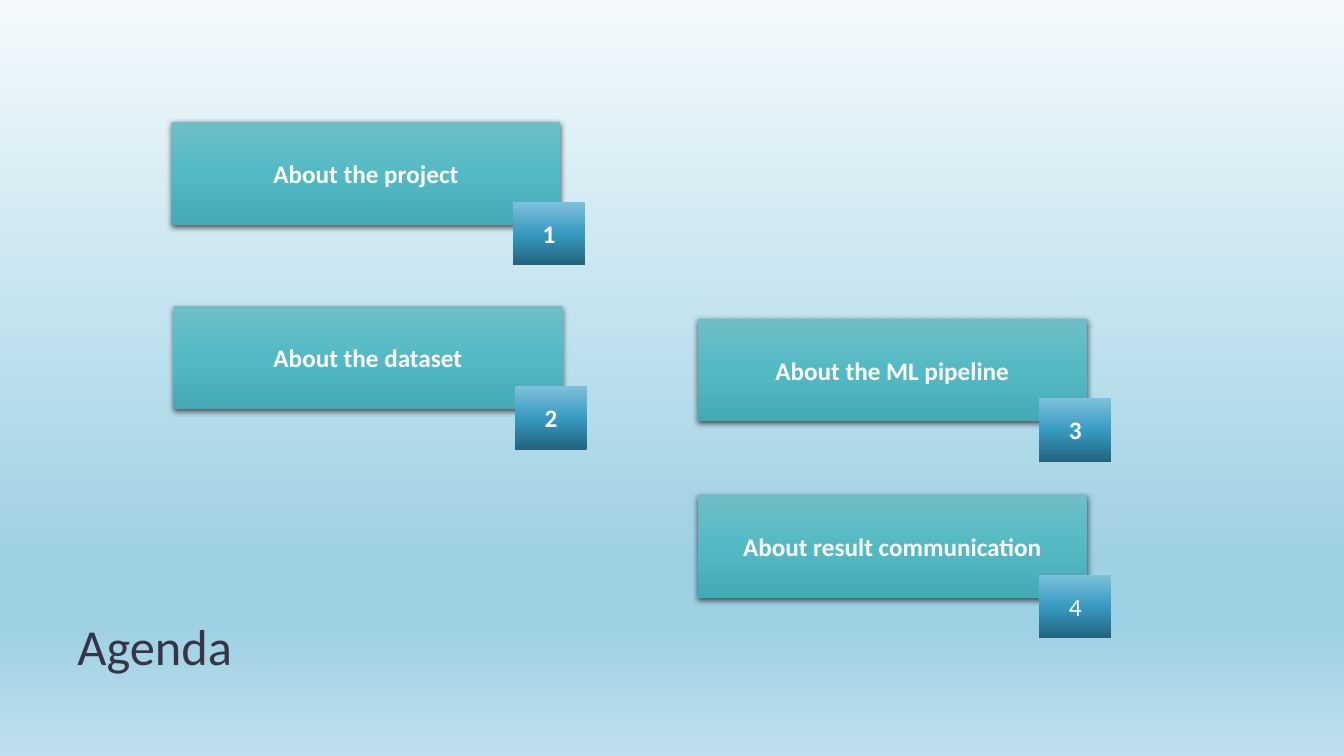
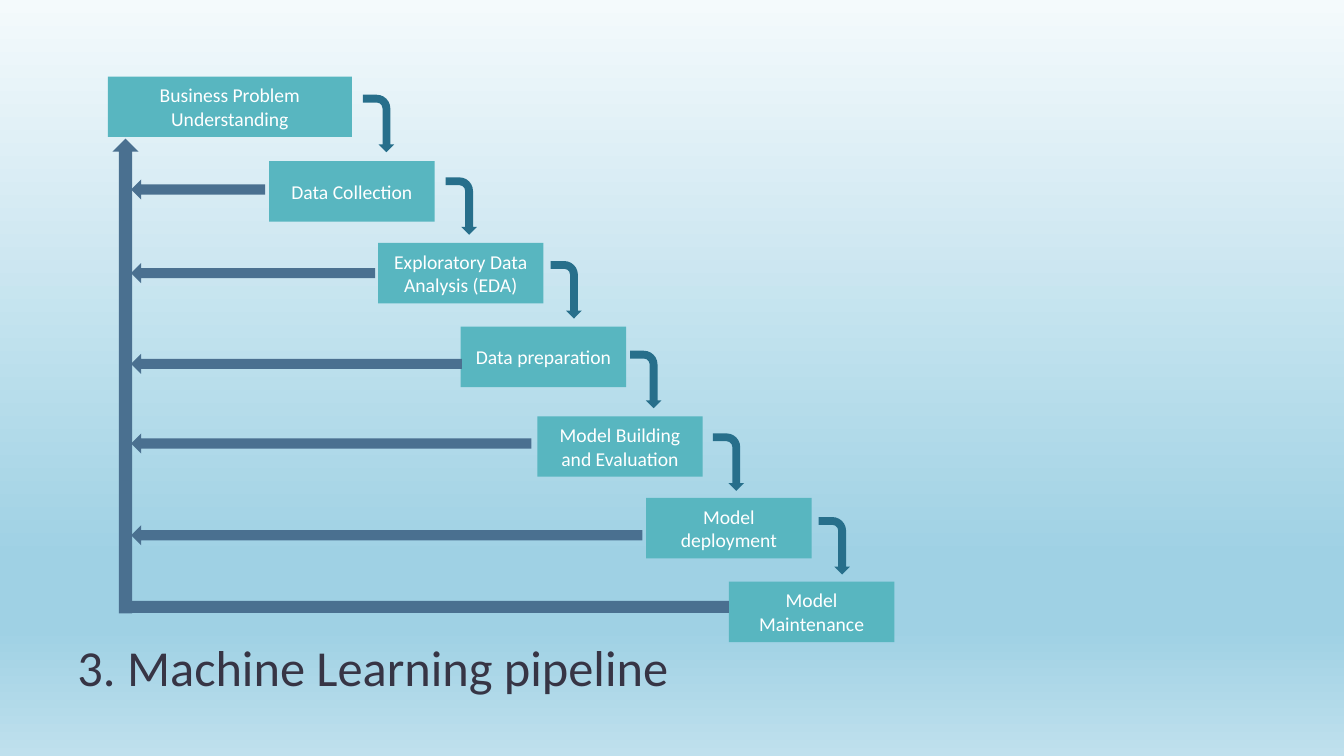
from collections import namedtuple

from lxml.etree import SubElement
from pptx import Presentation
from pptx.dml.color import RGBColor
from pptx.enum.shapes import MSO_SHAPE as Shape
from pptx.enum.text import MSO_ANCHOR as Anchor, PP_ALIGN as Align
from pptx.oxml.ns import qn
from pptx.util import Inches, Pt


class Theme:
    font = "Calibri"
    title_size, card_size, step_size = 36, 18, 14
    title, light = "373545", "FFFFFF"
    step, next_arrow, return_arrow = "58B6C0", "276F8B", "4A7090"
    # Gradients run from top to bottom: (percent, colour).
    backdrop = ((0, "F4FAFC"), (74, "9FD1E4"), (83, "9FD1E4"), (100, "BFE0ED"))
    card = ((0, "6FBEC7"), (50, "53BAC5"), (100, "44AAB5"))
    badge = ((0, "7FC1DB"), (52, "3699C0"), (100, "23637D"))


Part = namedtuple(
    "Part", "kind at fill text size bold rotation shadow",
    defaults=("", Theme.step_size, False, 0, False))


def paint(fill, owner, look):
    """Fill with one colour, or with a vertical gradient if look holds stops."""
    if isinstance(look, str):
        fill.solid()
        fill.fore_color.rgb = RGBColor.from_string(look)
        return
    fill.gradient()
    fill.gradient_angle = 270
    stops = next(owner.element.iter(qn("a:gsLst")))
    for stop in list(stops):
        stops.remove(stop)
    for percent, colour in look:
        stop = SubElement(stops, qn("a:gs"), pos=str(percent * 1000))
        SubElement(stop, qn("a:srgbClr"), val=colour)


def write(frame, text, *, size, colour=Theme.light, bold=False,
          align=Align.CENTER, anchor=Anchor.MIDDLE):
    frame.word_wrap = True
    frame.vertical_anchor = anchor
    for index, line in enumerate(text.splitlines()):
        para = frame.add_paragraph() if index else frame.paragraphs[0]
        para.alignment = align
        span = para.add_run()
        span.text = line
        span.font.name = Theme.font
        span.font.size = Pt(size)
        span.font.bold = bold
        span.font.color.rgb = RGBColor.from_string(colour)


# Agenda: each card carries a numbered badge over its lower right corner.
cards = [
    ("About the project", 1.7, 1.21),
    ("About the dataset", 1.72, 3.04),
    ("About the ML pipeline", 6.92, 3.16),
    ("About result communication", 6.92, 4.91),
]
agenda = []
for number, (label, left, top) in enumerate(cards, 1):
    agenda += [
        Part(Shape.RECTANGLE, (left, top, 3.86, 1.02), Theme.card, label,
             Theme.card_size, bold=True, shadow=True),
        Part(Shape.RECTANGLE, (left + 3.39, top + 0.79, 0.71, 0.63), Theme.badge,
             str(number), Theme.card_size, bold=number < len(cards)),
    ]

# Pipeline: label, left, top and width of each step.
steps = [
    ("Business Problem\nUnderstanding", 1.07, 0.76, 2.42),
    ("Data Collection", 2.67, 1.6, 1.64),
    ("Exploratory Data Analysis (EDA)", 3.75, 2.41, 1.64),
    ("Data preparation", 4.57, 3.24, 1.64),
    ("Model Building and Evaluation", 5.33, 4.13, 1.64),
    ("Model deployment", 6.41, 4.94, 1.64),
    ("Model Maintenance", 7.23, 5.77, 1.64),
]
next_arrows = [(3.47, 1.07), (4.29, 1.89), (5.33, 2.72),
               (6.12, 3.61), (6.94, 4.43), (7.99, 5.26)]
# Top and length of the arrows that lead back to the first step.
return_arrows = [(1.78, 1.33), (2.61, 2.42), (3.51, 3.28), (4.3, 3.97), (5.21, 5.07)]

pipeline = [Part(Shape.RECTANGLE, (left, top, width, 0.6), Theme.step, label)
            for label, left, top, width in steps]
pipeline += [Part(Shape.BENT_ARROW, (left, top, 0.57, 0.31), Theme.next_arrow, rotation=90)
             for left, top in next_arrows]
pipeline += [Part(Shape.RIGHT_ARROW, (1.3, top, length, 0.2), Theme.return_arrow, rotation=180)
             for top, length in return_arrows]
pipeline += [
    Part(Shape.RIGHT_ARROW, (-1.11, 3.6, 4.71, 0.26), Theme.return_arrow, rotation=270),
    Part(Shape.RECTANGLE, (1.21, 5.96, 6.02, 0.12), Theme.return_arrow),
]

deck = Presentation()
deck.slide_width, deck.slide_height = Inches(13.33), Inches(7.5)
paint(deck.slide_master.background.fill, deck.slide_master, Theme.backdrop)

for title, title_top, parts in [
    ("Agenda", 5.58, agenda),
    ("3. Machine Learning pipeline", 5.79, pipeline),
]:
    page = deck.slides.add_slide(deck.slide_layouts[6])
    box = page.shapes.add_textbox(Inches(0.67), Inches(title_top), Inches(12), Inches(1.17))
    write(box.text_frame, title, size=Theme.title_size, colour=Theme.title,
          align=Align.LEFT, anchor=Anchor.BOTTOM)

    for part in parts:
        shape = page.shapes.add_shape(part.kind, *map(Inches, part.at))
        shape.rotation = part.rotation
        shape.line.fill.background()
        paint(shape.fill, shape, part.fill)
        shape.shadow.inherit = False
        if part.shadow:
            effects = next(shape.element.iter(qn("a:effectLst")))
            shadow = SubElement(effects, qn("a:outerShdw"), blurRad=str(Pt(4.5)),
                                dist=str(Pt(1.5)), dir="5400000", rotWithShape="0")
            colour = SubElement(shadow, qn("a:srgbClr"), val="000000")
            SubElement(colour, qn("a:alpha"), val="63000")
        if part.text:
            write(shape.text_frame, part.text, size=part.size, bold=part.bold)

deck.save("out.pptx")
